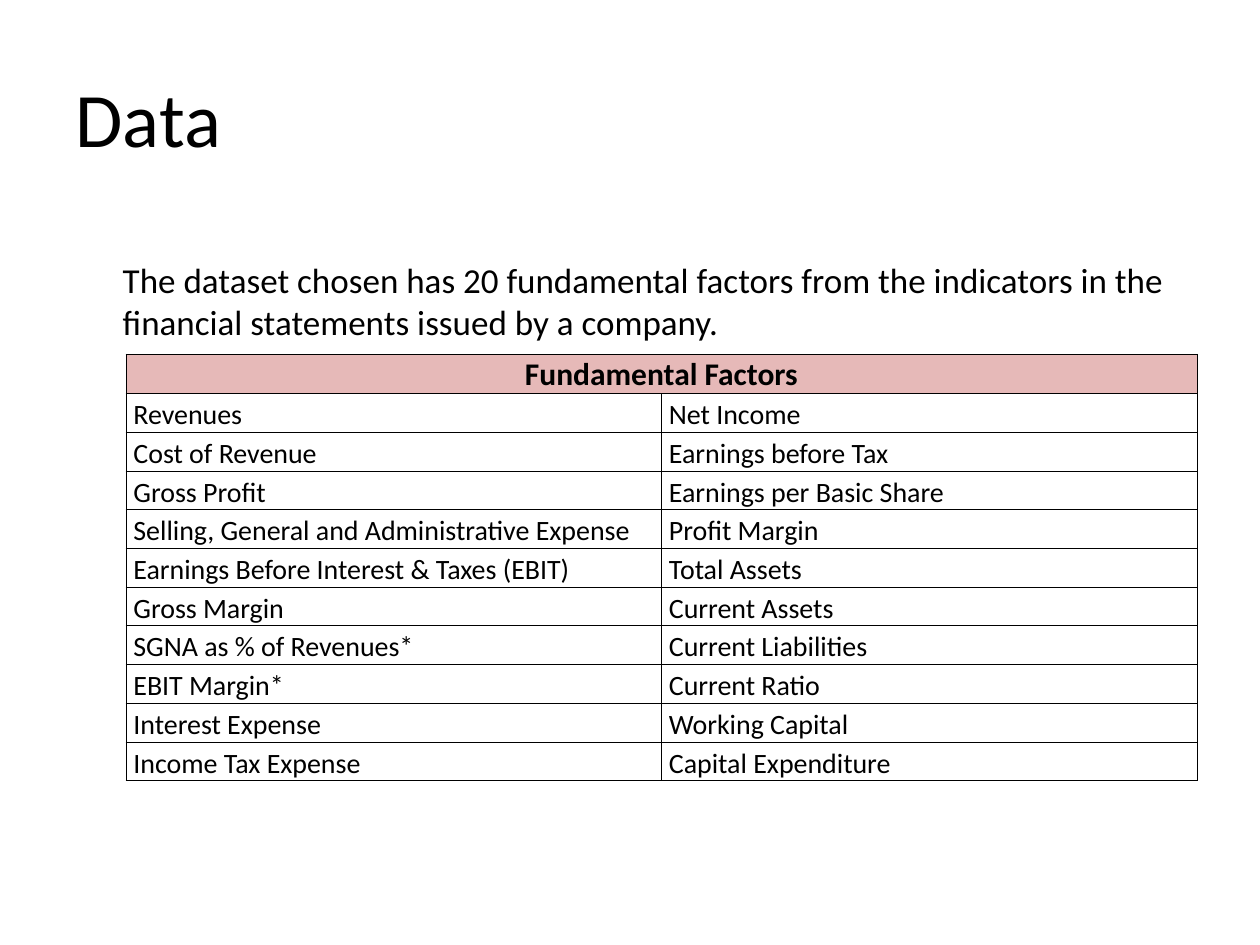
from dataclasses import dataclass

from lxml.etree import SubElement
from pptx import Presentation
from pptx.dml.color import RGBColor
from pptx.enum.text import MSO_ANCHOR, MSO_AUTO_SIZE, PP_ALIGN
from pptx.oxml.ns import qn
from pptx.util import Cm, Pt


@dataclass(frozen=True)
class Theme:
    font: str = "Calibri"
    ink: str = "000000"
    header_fill: str = "E6B9B8"
    title_size: int = 44
    body_size: int = 20
    header_size: int = 18
    cell_size: int = 16
    border: float = 0.5


THEME = Theme()
INTRO = (
    "The dataset chosen has 20 fundamental factors from the indicators "
    "in the financial statements issued by a company."
)
FACTORS = [
    ("Revenues", "Net Income"),
    ("Cost of Revenue", "Earnings before Tax"),
    ("Gross Profit", "Earnings per Basic Share"),
    ("Selling, General and Administrative Expense", "Profit Margin"),
    ("Earnings Before Interest & Taxes (EBIT)", "Total Assets"),
    ("Gross Margin", "Current Assets"),
    ("SGNA as % of Revenues*", "Current Liabilities"),
    ("EBIT Margin*", "Current Ratio"),
    ("Interest Expense", "Working Capital"),
    ("Income Tax Expense", "Capital Expenditure"),
]


def write(frame, text, size, bold=False, align=PP_ALIGN.LEFT):
    frame.text = text
    for para in frame.paragraphs:
        para.alignment = align
        for span in para.runs:
            span.font.name = THEME.font
            span.font.size = Pt(size)
            span.font.bold = bold
            span.font.color.rgb = RGBColor.from_string(THEME.ink)


def place(box, left, top, width, height):
    box.left, box.top = Cm(left), Cm(top)
    box.width, box.height = Cm(width), Cm(height)
    box.text_frame.auto_size = MSO_AUTO_SIZE.NONE


def add_title(page, text):
    box = page.shapes.title
    place(box, 1.27, 0.76, 22.86, 3.18)
    box.text_frame.vertical_anchor = MSO_ANCHOR.MIDDLE
    write(box.text_frame, text, THEME.title_size)


def add_intro(page, text):
    box = page.placeholders[1]
    place(box, 1.27, 5.08, 22.86, 1.9)
    write(box.text_frame, text, THEME.body_size)
    properties = box.text_frame.paragraphs[0]._p.get_or_add_pPr()
    properties.set("marL", str(Cm(0.95)))
    properties.set("indent", "0")
    SubElement(properties, qn("a:buNone"))


def add_borders(cell):
    properties = cell._tc.get_or_add_tcPr()
    for side in ("a:lnL", "a:lnR", "a:lnT", "a:lnB"):
        line = SubElement(properties, qn(side), w=str(Pt(THEME.border)))
        fill = SubElement(line, qn("a:solidFill"))
        SubElement(fill, qn("a:srgbClr"), val=THEME.ink)


def format_cell(cell, margin, fill=None):
    cell.margin_left = cell.margin_right = Cm(margin)
    cell.margin_top, cell.margin_bottom = Cm(0.02), 0
    cell.vertical_anchor = MSO_ANCHOR.BOTTOM
    add_borders(cell)
    if fill:
        cell.fill.solid()
        cell.fill.fore_color.rgb = RGBColor.from_string(fill)
    else:
        cell.fill.background()


def add_factor_table(page, heading, factors):
    rows = len(factors) + 1
    table = page.shapes.add_table(
        rows, 2, Cm(2.54), Cm(7.14), Cm(21.59), Cm(0.78 * rows)
    ).table
    table.first_row = table.horz_banding = False
    for row in table.rows:
        row.height = Cm(0.78)
    header, header_end = table.rows[0].cells
    for cell in (header, header_end):
        format_cell(cell, 0.02, THEME.header_fill)
    header.merge(header_end)
    write(header.text_frame, heading, THEME.header_size, True, PP_ALIGN.CENTER)
    for row_index, names in enumerate(factors, start=1):
        for column, name in enumerate(names):
            cell = table.cell(row_index, column)
            format_cell(cell, 0.15)
            write(cell.text_frame, name, THEME.cell_size)


def main():
    deck = Presentation()
    deck.slide_width, deck.slide_height = Cm(25.4), Cm(19.05)
    page = deck.slides.add_slide(deck.slide_layouts[1])
    add_title(page, "Data")
    add_intro(page, INTRO)
    add_factor_table(page, "Fundamental Factors", FACTORS)
    deck.save("out.pptx")


main()
